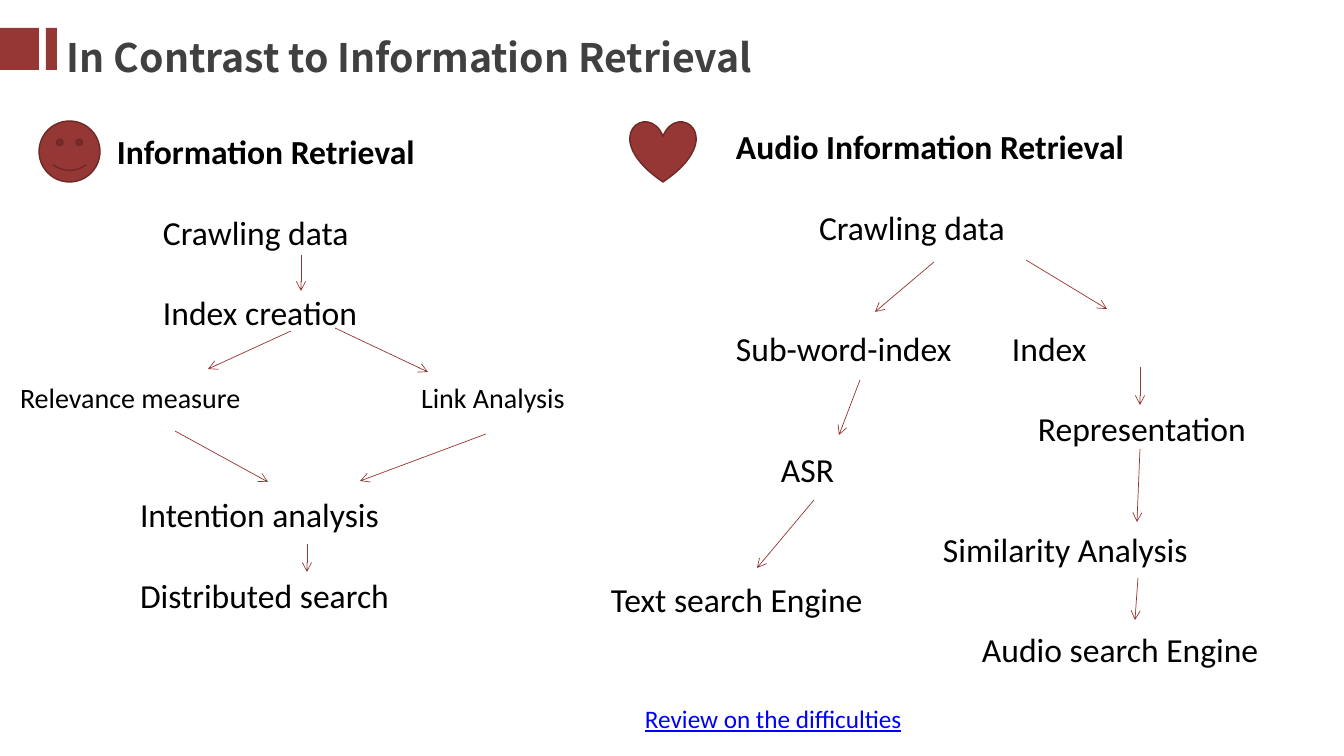
import pptx
import pptx.util
import pptx.dml.color
import pptx.enum.shapes
import pptx.enum.text
import pptx.oxml
import pptx.oxml.ns

BRICK = pptx.dml.color.RGBColor(0x95, 0x37, 0x34)
DARK_BRICK = pptx.dml.color.RGBColor(0x6E, 0x29, 0x26)
CHARCOAL = pptx.dml.color.RGBColor(0x40, 0x40, 0x40)
BLACK = pptx.dml.color.RGBColor(0, 0, 0)
BLUE = pptx.dml.color.RGBColor(0, 0, 0xFF)
SHAPE = pptx.enum.shapes.MSO_SHAPE
LINE_PITCH = 40.33


def px(length):
    return pptx.util.Emu(round(length * 914400 / 100.8))


def add_label(text, left, top, size=24, bold=False, color=BLACK):
    label = slide.shapes.add_textbox(px(left), px(top), px(400), px(41))
    frame = label.text_frame
    frame.margin_left = frame.margin_right = 0
    frame.margin_top = frame.margin_bottom = 0
    frame.word_wrap = False
    paragraph = frame.paragraphs[0]
    paragraph.text = text
    paragraph.font.name = "Calibri"
    paragraph.font.size = pptx.util.Pt(size)
    paragraph.font.bold = bold
    paragraph.font.color.rgb = color
    return paragraph


deck = pptx.Presentation()
deck.slide_width = px(1344)
deck.slide_height = px(756)
slide = deck.slides.add_slide(deck.slide_layouts[5])

title = slide.shapes.title
title.left, title.top, title.width, title.height = px(57), px(28), px(767), px(57)
title.text_frame.text = "In Contrast to Information Retrieval"
title.text_frame.vertical_anchor = pptx.enum.text.MSO_ANCHOR.TOP
title.text_frame.margin_left = px(10)
title.text_frame.margin_top = px(5)
heading = title.text_frame.paragraphs[0]
heading.alignment = pptx.enum.text.PP_ALIGN.LEFT
heading.font.name = "Noto Sans CJK SC"
heading.font.size = pptx.util.Pt(28)
heading.font.bold = True
heading.font.color.rgb = CHARCOAL

for kind, left, top, width, height, outlined in [
    (SHAPE.RECTANGLE, 0, 28, 39, 42, False),
    (SHAPE.RECTANGLE, 46, 28, 11, 42, False),
    (SHAPE.SMILEY_FACE, 39, 121, 61, 61, True),
    (SHAPE.HEART, 630, 121, 66, 61, True),
]:
    ornament = slide.shapes.add_shape(kind, px(left), px(top), px(width), px(height))
    ornament.shadow.inherit = False
    ornament.fill.solid()
    ornament.fill.fore_color.rgb = BRICK
    if outlined:
        ornament.line.color.rgb = DARK_BRICK
        ornament.line.width = pptx.util.Pt(1)
    else:
        ornament.line.fill.background()

columns = [
    (131, [
        ("Information Retrieval", 117, 0),
        ("Crawling data", 163, 2),
        ("Index creation", 163, 4),
        ("Intention analysis", 140, 9),
        ("Distributed search", 140, 11),
    ]),
    (126, [
        ("Audio Information Retrieval", 736, 0),
        ("Crawling data", 819, 2),
        ("Sub-word-index", 736, 5),
        ("Index", 1012, 5),
        ("Representation", 1038, 7),
        ("ASR", 781, 8),
        ("Similarity Analysis", 943, 10),
    ]),
]
for column_top, steps in columns:
    for text, left, row in steps:
        add_label(text, left, column_top + row * LINE_PITCH, bold=row == 0)

add_label("Relevance measure", 20, 380, size=20)
add_label("Link Analysis", 421, 380, size=20)
add_label("Text search Engine", 611, 579)
add_label("Audio search Engine", 982, 629)
review = add_label("Review on the difficulties", 645, 703, size=18, color=BLUE)
review.font.underline = True

arrows = [
    (301, 255, 301, 291),
    (291, 331, 208, 369),
    (335, 328, 428, 372),
    (175, 431, 268, 482),
    (486, 434, 360, 481),
    (307, 544, 307, 572),
    (934, 262, 875, 312),
    (1026, 260, 1107, 309),
    (860, 380, 839, 435),
    (814, 500, 757, 568),
    (1140, 367, 1140, 405),
    (1140, 449, 1137, 522),
    (1138, 578, 1135, 620),
]
for ends in arrows:
    arrow = slide.shapes.add_connector(
        pptx.enum.shapes.MSO_CONNECTOR.STRAIGHT, *map(px, ends))
    arrow.line.color.rgb = BRICK
    arrow.line.width = pptx.util.Pt(0.5)
    properties = arrow._element.spPr
    tail = pptx.oxml.parse_xml(
        f'<a:tailEnd {pptx.oxml.ns.nsdecls("a")} type="arrow"/>')
    properties.find(pptx.oxml.ns.qn("a:ln")).append(tail)
    properties.append(pptx.oxml.parse_xml(
        f'<a:effectLst {pptx.oxml.ns.nsdecls("a")}/>'))

deck.save("out.pptx")
